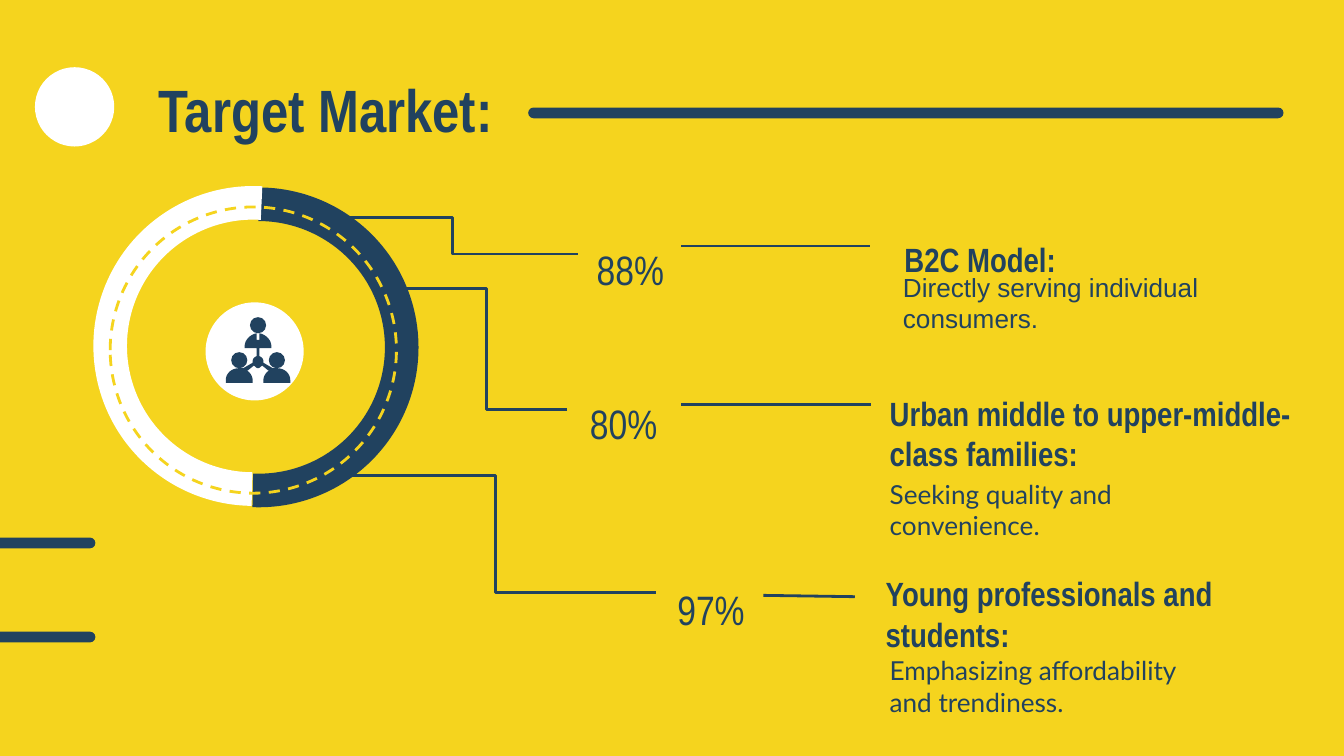
from lxml import etree
from pptx import Presentation
from pptx.dml.color import RGBColor
from pptx.enum.dml import MSO_LINE
from pptx.enum.shapes import MSO_CONNECTOR, MSO_SHAPE
from pptx.enum.text import MSO_ANCHOR, MSO_AUTO_SIZE, PP_ALIGN
from pptx.oxml.ns import qn
from pptx.util import Pt

PX = 9144  # 100 px to the inch
NAVY, WHITE, GOLD = "21425F", "FFFFFF", "F5D41E"
OVAL, ROUND, ARC = MSO_SHAPE.OVAL, MSO_SHAPE.ROUNDED_RECTANGLE, MSO_SHAPE.ARC
BENT, LINE = MSO_CONNECTOR.ELBOW, MSO_CONNECTOR.STRAIGHT
TOP, MID = MSO_ANCHOR.TOP, MSO_ANCHOR.MIDDLE
LEFT, MIDDLE = PP_ALIGN.LEFT, PP_ALIGN.CENTER
NARROW, LATO, ARIAL = "Arial Narrow", "Lato", "Arial"

# Wide 16:9 slide
deck = Presentation()
deck.slide_width = 1000 * PX
deck.slide_height = deck.slide_width * 9 // 16
slide = deck.slides.add_slide(deck.slide_layouts[5])
shapes = slide.shapes
slide.background.fill.solid()
slide.background.fill.fore_color.rgb = RGBColor.from_string(GOLD)


def paint(shape, fill=None, line=None, width=1.5):
    shape.shadow.inherit = False
    if fill:
        shape.fill.solid()
        shape.fill.fore_color.rgb = RGBColor.from_string(fill)
    else:
        shape.fill.background()
    if line:
        shape.line.color.rgb = RGBColor.from_string(line)
        shape.line.width = Pt(width)
    else:
        shape.line.fill.background()
    return shape


def write(box, text, size, font, bold=False, align=LEFT, anchor=MID,
          pads=(26, 20, 10, 0), after=16):
    frame = box.text_frame
    frame.text = text
    frame.word_wrap = True
    frame.auto_size = MSO_AUTO_SIZE.NONE
    frame.vertical_anchor = anchor
    frame.margin_left, frame.margin_top, frame.margin_right, frame.margin_bottom = [
        p * PX for p in pads]
    para = frame.paragraphs[0]
    para.alignment = align
    para.space_after = Pt(after)
    face = para.runs[0].font
    face.size, face.name, face.bold = Pt(size), font, bold
    face.color.rgb = RGBColor.from_string(NAVY)


# Title
title = shapes.title
title.left, title.top, title.width, title.height = 108 * PX, 44 * PX, 464 * PX, 63 * PX
write(title, "Target Market:", 32, NARROW, True, anchor=TOP, pads=(10, 10, 10, 10), after=0)

# Bars at the left edge and beside the title
for x, y, w in ((-102, 400, 173), (-102, 470, 173), (393, 80, 562)):
    bar = paint(shapes.add_shape(ROUND, x * PX, y * PX, w * PX, 8 * PX), NAVY)
    bar.adjustments[0] = 0.5

# Leaders from the ring to the figures, and on to the headings
for kind, x1, y1, x2, y2 in (
    (BENT, 430, 189, 243, 162),
    (BENT, 422, 305, 302, 215),
    (BENT, 488, 441, 249, 354),
    (LINE, 507, 183, 647, 183),
    (LINE, 507, 301, 648, 301),
    (LINE, 568, 443, 636, 444),
):
    link = shapes.add_connector(kind, x1 * PX, y1 * PX, x2 * PX, y2 * PX)
    link.line.color.rgb = RGBColor.from_string(NAVY)
    link.line.width = Pt(1.5)
    etree.SubElement(link._element.spPr, qn("a:effectLst"))

# Ring: two arcs and a dashed circle
for x, y, start, end, color in (
    (86, 152, 162, 55.4, NAVY),
    (82, 151, 54.3, 163.99, WHITE),
):
    arc = paint(shapes.add_shape(ARC, x * PX, y * PX, 213 * PX, 213 * PX), None, color, 18)
    arc.adjustments[0], arc.adjustments[1] = start, end
dash = paint(shapes.add_shape(OVAL, 82 * PX, 154 * PX, 213 * PX, 213 * PX), None, GOLD)
dash.line.dash_style = MSO_LINE.DASH

# White discs, then the heads of the team icon
for x, y, size, color in (
    (26, 50, 59, WHITE), (153, 225, 73, WHITE),
    (186, 236, 12, NAVY), (172, 262, 12, NAVY), (200, 262, 12, NAVY),
):
    paint(shapes.add_shape(OVAL, x * PX, y * PX, size * PX, size * PX), color)

# Bodies of the team icon: left half with sampled curves, then its mirror
half = [(191, 253), (191, 248)]
for step in (
    (186, 249, 182, 253, 182, 258), (182, 259), (191, 259), (191, 265),
    (189, 266, 188, 267, 188, 269), (188, 270), (181, 274), (178, 274),
    (172, 274, 168, 278, 168, 283), (168, 285), (188, 285), (188, 283),
    (188, 280, 186, 277, 184, 276), (189, 272),
    (190, 273, 191, 274, 192, 274),
):
    if len(step) == 2:
        half.append(step)
        continue
    ends = half[-1] + step
    for t in (k / 8 for k in range(1, 9)):
        mix = ((1 - t) ** 3, 3 * t * (1 - t) ** 2, 3 * t * t * (1 - t), t ** 3)
        half.append(tuple(sum(m * v for m, v in zip(mix, ends[i::2])) for i in (0, 1)))
full = half + [(384 - x, y) for x, y in reversed(half[:-1])]
dots = [(round(x * PX), round(y * PX)) for x, y in full]
pen = shapes.build_freeform(*dots[0])
pen.add_line_segments(dots[1:])
paint(pen.convert_to_shape(), NAVY)

# Figures
for text, x, y in (("88%", 404, 167), ("80%", 399, 281), ("97%", 464, 420)):
    box = shapes.add_textbox(x * PX, y * PX, 130 * PX, 47 * PX)
    write(box, text, 22, NARROW, align=MIDDLE, pads=(10, 20, 10, 0))

# Headings
for text, x, y, w in (
    ("B2C Model:", 647, 159, 287),
    ("Urban middle to upper-middle-class families:", 636, 289, 372),
    ("Young professionals and students:", 633, 423, 359),
):
    box = shapes.add_textbox(x * PX, y * PX, w * PX, 47 * PX)
    write(box, text, 18, NARROW, True)

# Descriptions
box = shapes.add_textbox(662 * PX, 197 * PX, 287 * PX, 57 * PX)
write(box, "Directly serving individual consumers.", 14, ARIAL,
      anchor=TOP, pads=(10, 5, 10, 5), after=0)
for text, y, w, h in (
    ("Seeking quality and convenience.", 328, 269, 82),
    ("Emphasizing affordability and trendiness.", 469, 263, 63),
):
    box = shapes.add_textbox(636 * PX, y * PX, w * PX, h * PX)
    write(box, text, 14, LATO)

deck.save("out.pptx")
